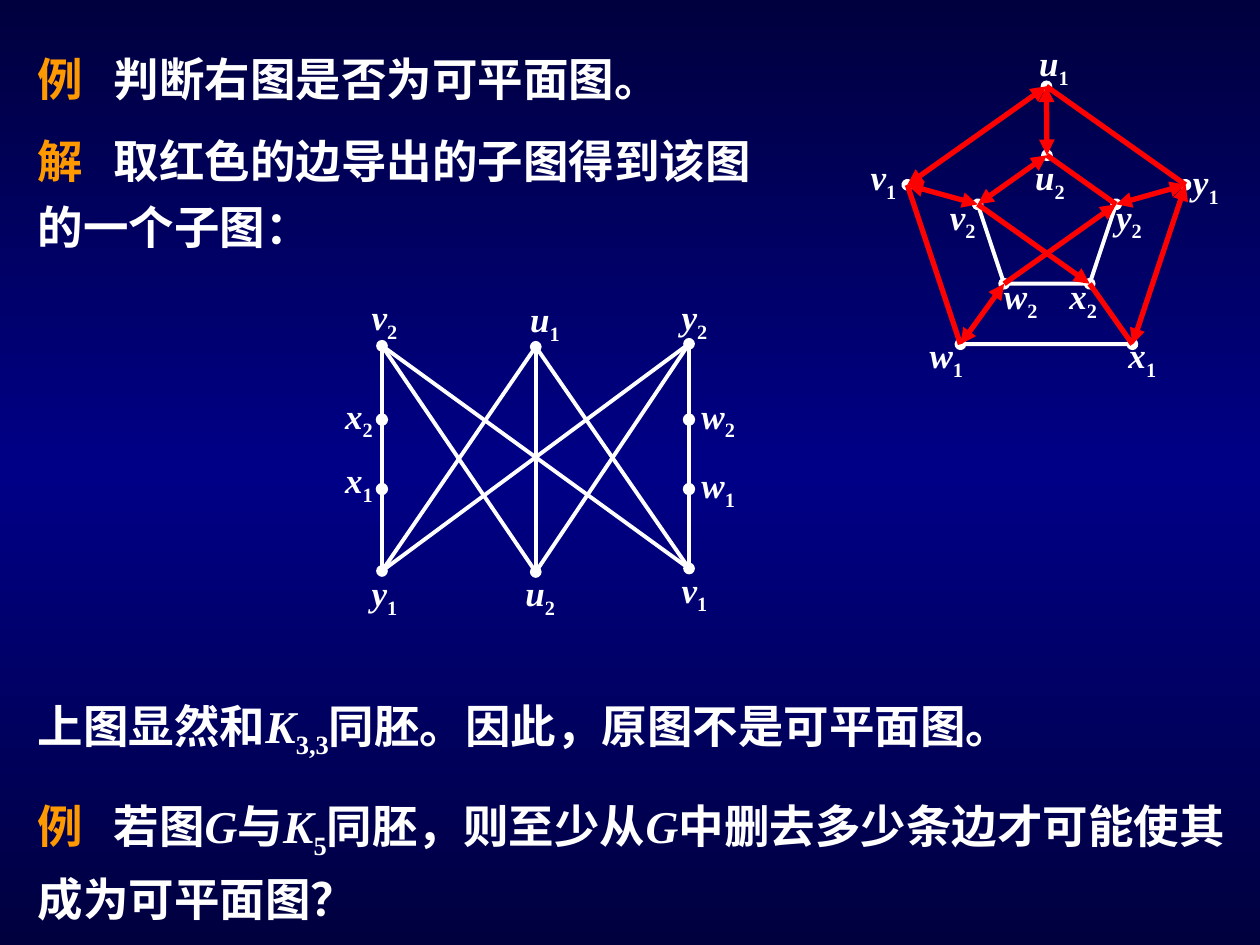
from copy import deepcopy

from lxml import etree
from pptx import Presentation
from pptx import util as u
from pptx.dml.color import RGBColor
from pptx.enum import shapes, text
from pptx.oxml import ns

WHITE = RGBColor(0xFF, 0xFF, 0xFF)
ORANGE = RGBColor(0xFF, 0x99, 0x00)
RED = RGBColor(0xFF, 0x00, 0x00)
NAVY = RGBColor(0x00, 0x00, 0x3E)
BLUE = RGBColor(0x00, 0x00, 0x86)
BACKGROUND = [(0, NAVY), (0.5, BLUE), (1, NAVY)]

# Run styles
BASE = {"name": "Times New Roman", "bold": True, "italic": False}
LEAD, PLAIN, VAR, SUB = "lead", "plain", "var", "sub"

# Text boxes: left, top, width, height (cm), line spacing, runs
TEXTS = [
    (0.51, 0.91, 21.0, 1.37, 1.0,
     [("例\t", LEAD), ("判断右图是否为可平面图。", PLAIN)]),
    (0.51, 2.34, 15.39, 2.9, 1.2,
     [("解\t", LEAD), ("取红色的边导出的子图得到该图的一个子图：", PLAIN)]),
    (0.51, 13.94, 21.74, 1.52, 1.0,
     [("上图显然和", PLAIN), ("K", VAR), ("3,3", SUB),
      ("同胚。因此，原图不是可平面图。", PLAIN)]),
    (0.51, 15.72, 24.51, 3.07, 1.2,
     [("例\t", LEAD), ("若图", PLAIN), ("G", VAR), ("与", PLAIN), ("K", VAR),
      ("5", SUB), ("同胚，则至少从", PLAIN), ("G", VAR),
      ("中删去多少条边才可能使其成为可平面图？", PLAIN)]),
]

# Pentagons: index used in vertex names -> left, top, width, height (cm)
PENTAGONS = {"1": (18.29, 1.74, 5.61, 5.2), "2": (19.71, 3.13, 2.79, 2.59)}
CORNERS = {"u": (0.5, 0), "y": (1, 0.382), "x": (0.809, 1),
           "w": (0.191, 1), "v": (0, 0.382)}
PRISM_LABELS = {
    "u1": (20.7, 0.71), "u2": (20.62, 3.02), "v1": (17.3, 3.02),
    "v2": (18.9, 3.81), "w1": (18.49, 6.6), "w2": (19.99, 5.41),
    "x1": (22.5, 6.6), "x2": (21.31, 5.41), "y1": (23.8, 3.12),
    "y2": (22.25, 3.81),
}
WHITE_CHORDS = ["v2 x2", "y2 w2"]
# Red edges: ends, arrow at start, arrow at end
RED_EDGES = [
    ("u1 u2", 1, 1), ("y1 y2", 1, 1), ("x2 x1", 0, 0), ("v2 x2", 0, 1),
    ("y2 w2", 1, 0), ("w2 w1", 1, 1), ("u1 y1", 0, 0), ("y1 x1", 1, 1),
    ("v1 w1", 0, 0), ("u2 v2", 1, 1), ("u2 y2", 0, 0), ("u1 v1", 1, 1),
    ("v1 v2", 1, 1),
]

# Bipartite subgraph (cm)
SUBGRAPH = {
    "v2": (7.7, 6.97), "u1": (10.8, 6.99), "y2": (13.89, 6.93),
    "y1": (7.7, 11.51), "u2": (10.8, 11.53), "v1": (13.89, 11.46),
}
UPRIGHTS = ["v2 y1", "u1 u2", "y2 v1"]
DIAGONALS = ["v2 v1", "y2 y1", "v2 u2", "y2 u2", "u1 y1", "u1 v1"]
MIDPOINTS = [(x, y) for x in (7.7, 13.89) for y in (8.46, 9.86)]
DOT = 0.25
SUBGRAPH_LABELS = {
    "v2": (7.24, 5.84), "y1": (7.24, 11.4), "v1": (13.49, 11.33),
    "u1": (10.44, 5.87), "y2": (13.49, 5.84), "u2": (10.34, 11.4),
    "x2": (6.71, 7.82), "x1": (6.71, 9.12), "w2": (13.89, 7.82),
    "w1": (13.89, 9.22),
}


def cm(values):
    return [u.Cm(value) for value in values]


def add_text(parent, frame, runs, size, spacing=1.0, wrap=True):
    box = parent.add_textbox(*cm(frame))
    box.text_frame.word_wrap = wrap
    box.text_frame.auto_size = text.MSO_AUTO_SIZE.SHAPE_TO_FIT_TEXT
    para = box.text_frame.paragraphs[0]
    if runs[0][1] == LEAD:
        tabs = etree.SubElement(para._p.get_or_add_pPr(), ns.qn("a:tabLst"))
        etree.SubElement(tabs, ns.qn("a:tab"), pos=str(u.Cm(1.53)), algn="l")
    para.line_spacing = spacing
    for words, style in runs:
        span = para.add_run()
        span.text = words
        formats = {**BASE, "size": u.Pt(size), "italic": style == VAR}
        for key, value in formats.items():
            setattr(span.font, key, value)
        span.font.color.rgb = ORANGE if style == LEAD else WHITE
        if style == SUB:
            span._r.get_or_add_rPr().set("baseline", "-25000")


def add_labels(parent, labels):
    for name, (left, top) in labels.items():
        width = 1.5 if name[0] == "w" else 1.19
        add_text(parent, (left, top, width, 1.22),
                 [(name[0], VAR), (name[1], SUB)], 20, wrap=False)


def add_edge(parent, points, ends, color=WHITE, width=2.25, head=None, tail=None):
    start, end = (points[name] for name in ends.split())
    edge = parent.add_connector(shapes.MSO_CONNECTOR.STRAIGHT, *cm(start + end))
    edge.line.color.rgb = color
    edge.line.width = u.Pt(width)
    line = edge.line._get_or_add_ln()
    for tag, kind in (("a:headEnd", head), ("a:tailEnd", tail)):
        if kind:
            etree.SubElement(line, ns.qn(tag), type=kind)
    etree.SubElement(edge._element.spPr, ns.qn("a:effectLst"))


def add_preset(parent, kind, frame):
    shape = parent.add_shape(kind, *cm(frame))
    shape.shadow.inherit = False
    return shape


deck = Presentation()
deck.slide_width, deck.slide_height = u.Cm(25.4), u.Cm(19.05)
page = deck.slides.add_slide(deck.slide_layouts[6])

# Background gradient
fill = page.background.fill
fill.gradient()
fill.gradient_angle = 90
stops = page.element.find(".//" + ns.qn("a:gsLst"))
stops.insert(1, deepcopy(stops[0]))
for stop, (position, color) in zip(fill.gradient_stops, BACKGROUND):
    stop.position = position
    stop.color.rgb = color

# Pentagonal prism graph
prism = page.shapes.add_group_shape().shapes
vertices = {}
for index, (left, top, width, height) in PENTAGONS.items():
    outline = add_preset(prism, shapes.MSO_SHAPE.REGULAR_PENTAGON,
                         (left, top, width, height))
    outline.fill.background()
    outline.line.color.rgb = WHITE
    outline.line.width = u.Pt(2.25)
    for letter, (across, down) in CORNERS.items():
        vertices[letter + index] = (left + across * width, top + down * height)
for letter in CORNERS:
    add_edge(prism, vertices, f"{letter}1 {letter}2", head="oval", tail="oval")
for ends in WHITE_CHORDS:
    add_edge(prism, vertices, ends)
add_labels(prism, PRISM_LABELS)

# Sentences
for *frame, spacing, runs in TEXTS:
    add_text(page.shapes, frame, runs, 26, spacing)

# Bipartite subgraph
bipartite = page.shapes.add_group_shape().shapes
for ends in UPRIGHTS:
    add_edge(bipartite, SUBGRAPH, ends, head="oval", tail="oval")
for ends in DIAGONALS:
    add_edge(bipartite, SUBGRAPH, ends)
for x, y in MIDPOINTS:
    dot = add_preset(bipartite, shapes.MSO_SHAPE.OVAL,
                     (x - DOT / 2, y - DOT / 2, DOT, DOT))
    dot.fill.solid()
    dot.fill.fore_color.rgb = WHITE
    dot.line.fill.background()
add_labels(bipartite, SUBGRAPH_LABELS)

# Red edges over the prism
red_edges = page.shapes.add_group_shape().shapes
for ends, at_start, at_end in RED_EDGES:
    add_edge(red_edges, vertices, ends, RED, 3,
             "triangle" if at_start else None, "triangle" if at_end else None)

deck.save("out.pptx")
